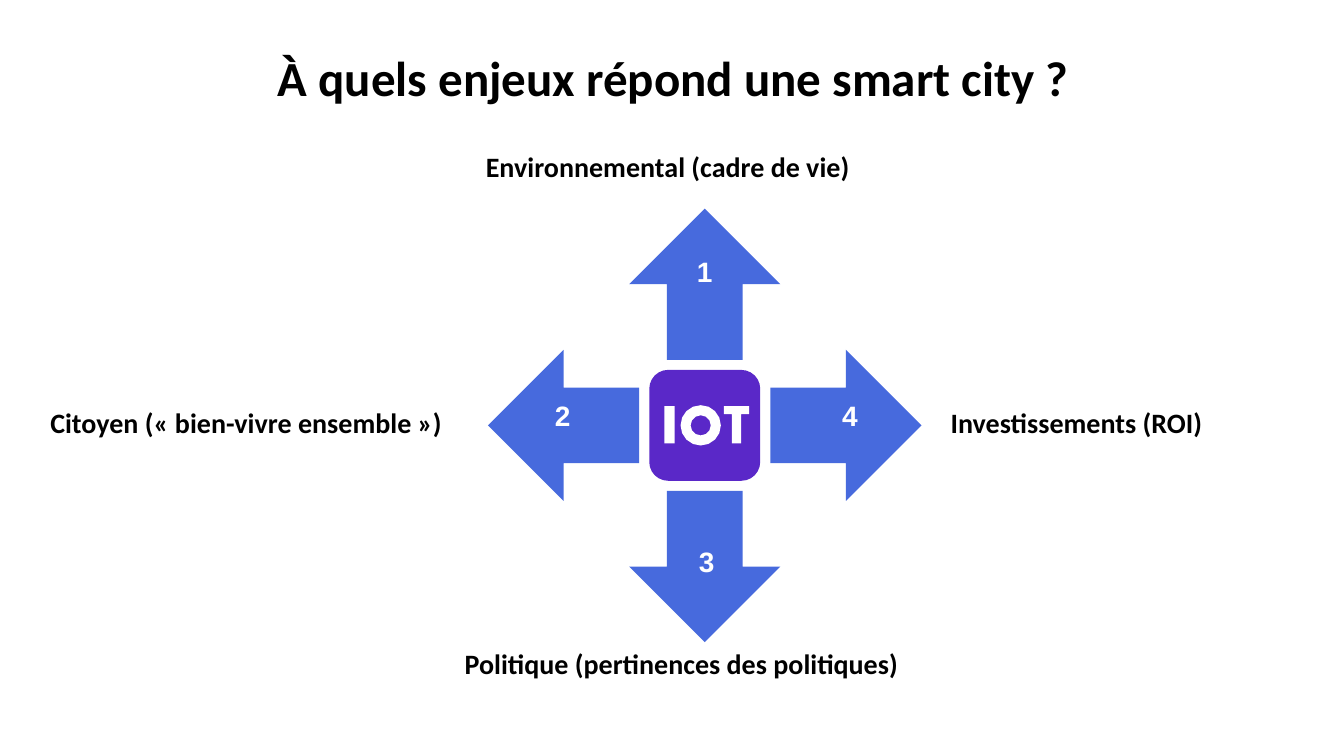
from dataclasses import dataclass
from math import cos, pi, sin

from pptx import Presentation
from pptx.dml.color import RGBColor
from pptx.enum.shapes import MSO_SHAPE
from pptx.enum.text import MSO_ANCHOR, PP_ALIGN
from pptx.util import Inches, Pt

ARROW = MSO_SHAPE.UP_ARROW
ROUND = MSO_SHAPE.ROUNDED_RECTANGLE
MIDDLE = MSO_ANCHOR.MIDDLE
CENTER = PP_ALIGN.CENTER
LEFT = PP_ALIGN.LEFT

COLORS = {"arrow": "476ADD", "hub": "5A28C8", "light": "FFFFFF", "dark": "000000"}
MID_X, MID_Y = 6.99, 4.22
REACH = 1.4
ARROW_SIZE = 1.5
HUB_SIZE = 1.1


@dataclass
class Issue:
    number: str
    angle: int
    digit_at: tuple[float, float]
    label: str
    label_box: tuple[float, float, float, float]


ISSUES = [
    Issue("1", 0, (6.68, 2.52), "Environnemental (cadre de vie)", (4.72, 1.43, 4.55, 0.44)),
    Issue("2", 270, (5.27, 3.95), "Citoyen (« bien-vivre ensemble »)", (0.4, 3.97, 4.28, 0.44)),
    Issue("3", 180, (6.7, 5.4), "Politique (pertinences des politiques)", (4.51, 6.36, 4.74, 0.77)),
    Issue("4", 90, (8.12, 3.95), "Investissements (ROI)", (9.33, 3.97, 3.63, 0.44)),
]


def style(frame, size: int, font: str, color: str, align) -> None:
    para = frame.paragraphs[0]
    para.alignment = align
    face = para.runs[0].font
    face.name = font
    face.size = Pt(size)
    face.bold = True
    face.color.rgb = RGBColor.from_string(COLORS[color])


def paint(shape, color: str) -> None:
    shape.shadow.inherit = False
    shape.fill.solid()
    shape.fill.fore_color.rgb = RGBColor.from_string(COLORS[color])
    shape.line.fill.background()


def add_block(slide, kind, x: float, y: float, size: float, color: str):
    corner = Inches(x - size / 2), Inches(y - size / 2)
    shape = slide.shapes.add_shape(kind, *corner, Inches(size), Inches(size))
    paint(shape, color)
    return shape


def add_text(slide, box: tuple, text: str, font: str, color: str, align):
    frame = slide.shapes.add_textbox(*map(Inches, box)).text_frame
    frame.word_wrap = True
    frame.text = text
    style(frame, 20, font, color, align)
    return frame


def add_title(slide, text: str) -> None:
    title = slide.shapes.title
    title.left, title.top = Inches(0.35), Inches(0.37)
    title.width, title.height = Inches(12.66), Inches(0.79)
    frame = title.text_frame
    frame.text = text
    frame.vertical_anchor = MIDDLE
    style(frame, 35, "Calibri", "dark", CENTER)


def add_issue(slide, issue: Issue) -> None:
    turn = issue.angle * pi / 180
    x, y = MID_X + REACH * sin(turn), MID_Y - REACH * cos(turn)
    add_block(slide, ARROW, x, y, ARROW_SIZE, "arrow").rotation = issue.angle
    box = (*issue.digit_at, 0.62, 0.34)
    frame = add_text(slide, box, issue.number, "Arial", "light", CENTER)
    frame.margin_left = frame.margin_right = 0
    frame.margin_top = frame.margin_bottom = 0
    add_text(slide, issue.label_box, issue.label, "Calibri", "dark", LEFT)


def ring(radius: float, steps: int) -> list[tuple[float, float]]:
    turns = [2 * pi * step / steps for step in range(steps)]
    return [(6.95 + radius * cos(turn), MID_Y + radius * sin(turn)) for turn in turns]


def add_letters(slide) -> None:
    top, bar, base = 4.03, 4.11, 4.4
    stem = [(6.59, top), (6.69, top), (6.69, base), (6.59, base)]
    tee = [(7.18, top), (7.43, top), (7.43, bar), (7.35, bar),
           (7.35, base), (7.26, base), (7.26, bar), (7.18, bar)]
    outlines = [
        [(Inches(x), Inches(y)) for x, y in points]
        for points in (stem, ring(0.2, 16), ring(0.1, 12)[::-1], tee)
    ]
    pen = slide.shapes.build_freeform(*outlines[0][0])
    for index, points in enumerate(outlines):
        if index:
            pen.move_to(*points[0])
        pen.add_line_segments(points[1:], close=True)
    paint(pen.convert_to_shape(), "light")


def main() -> None:
    deck = Presentation()
    deck.slide_width, deck.slide_height = Inches(13.33), Inches(7.5)
    slide = deck.slides.add_slide(deck.slide_layouts[5])
    add_title(slide, "À quels enjeux répond une smart city ?")
    for issue in ISSUES:
        add_issue(slide, issue)
    hub = add_block(slide, ROUND, MID_X, MID_Y, HUB_SIZE, "hub")
    hub.adjustments[0] = 0.17
    add_letters(slide)
    deck.save("out.pptx")


if __name__ == "__main__":
    main()
